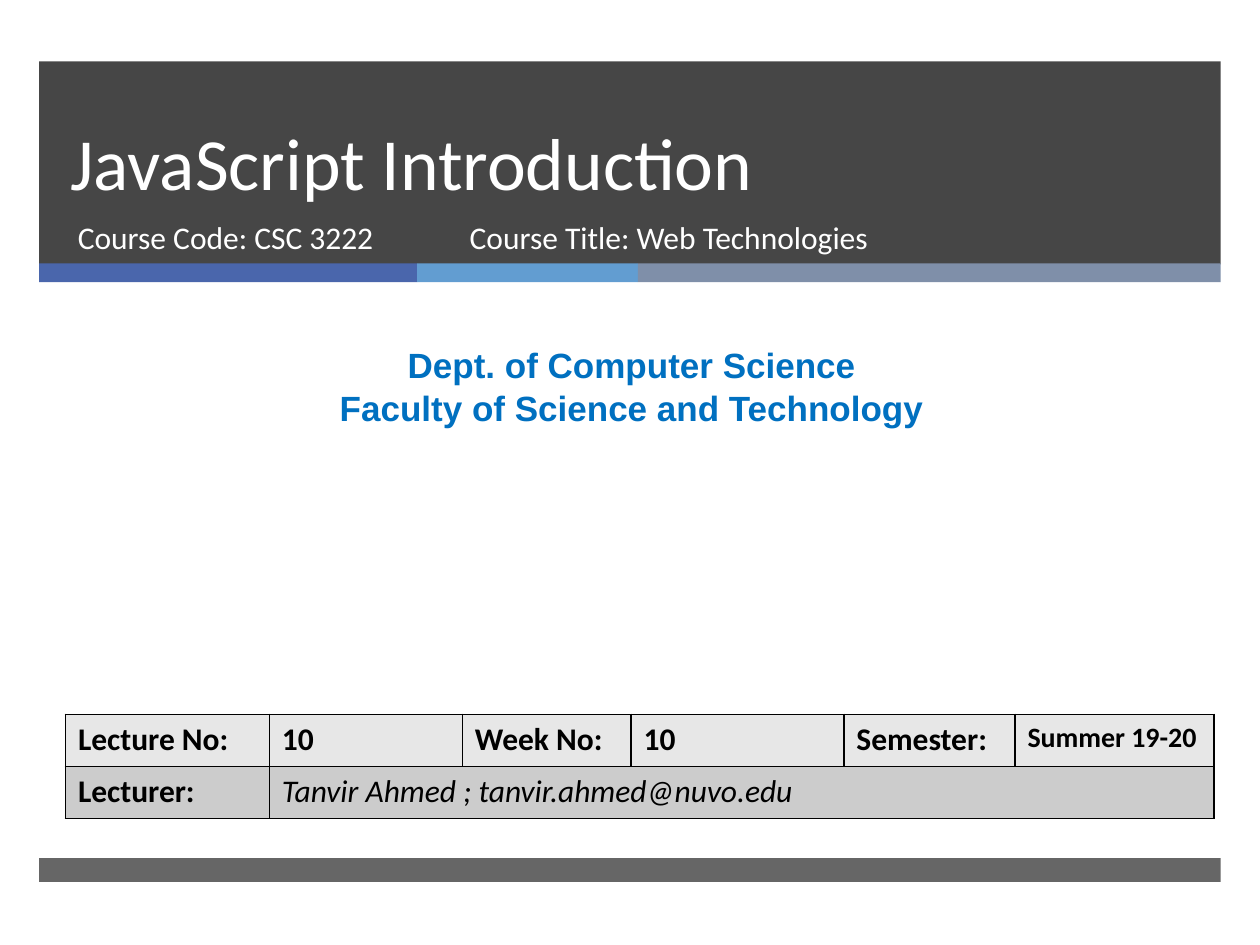
from lxml import etree
from pptx import Presentation
from pptx.dml.color import RGBColor
from pptx.enum.shapes import MSO_SHAPE
from pptx.enum.text import MSO_ANCHOR, PP_ALIGN
from pptx.oxml.ns import qn
from pptx.util import Cm, Pt

RECTANGLE = MSO_SHAPE.RECTANGLE
TOP, BOTTOM = MSO_ANCHOR.TOP, MSO_ANCHOR.BOTTOM
LEFT, CENTER = PP_ALIGN.LEFT, PP_ALIGN.CENTER

WHITE, BLACK, CHARCOAL, BLUE = "FFFFFF", "000000", "262626", "0070C0"
STRIPES = [(7.62, "4A66AC"), (4.45, "629DD1"), (11.75, "7F8FA9")]
COLUMNS = [4.11, 3.89, 3.4, 4.29, 3.45, 4.01]
ROW_HEIGHT = 1.05
LECTURE_ROW = ["Lecture No:", "10", "Week No:", "10", "Semester:", "Summer 19-20"]


def paint(target, color):
    """Give a fill or a font one solid colour."""
    if hasattr(target, "solid"):
        target.solid()
        target.fore_color.rgb = RGBColor.from_string(color)
    else:
        target.color.rgb = RGBColor.from_string(color)


def add_bar(page, box, color, opacity=100):
    bar = page.shapes.add_shape(RECTANGLE, *map(Cm, box))
    bar.shadow.inherit = False
    bar.line.fill.background()
    paint(bar.fill, color)
    if opacity < 100:
        tint = bar.fill._xPr.find(qn("a:solidFill"))[0]
        etree.SubElement(tint, qn("a:alpha"), val=str(opacity * 1000))


def add_span(para, text, size, color, font="Calibri", bold=False, italic=False):
    span = para.add_run()
    span.text = text
    span.font.name, span.font.size = font, Pt(size)
    span.font.bold, span.font.italic = bold, italic
    paint(span.font, color)


def add_text(page, box, lines, size, color, anchor=TOP, align=LEFT,
             spacing=None, **style):
    frame = page.shapes.add_textbox(*map(Cm, box)).text_frame
    frame.word_wrap = True
    frame.vertical_anchor = anchor
    for index, line in enumerate(lines):
        para = frame.add_paragraph() if index else frame.paragraphs[0]
        para.alignment = align
        if spacing:
            para.line_spacing = Pt(spacing)
        add_span(para, line, size, color, **style)


def add_header(page, box):
    left, top, width, height = box
    # Dark band with three coloured stripes below
    add_bar(page, box, CHARCOAL, 85)
    stripe_left = left
    for stripe_width, color in STRIPES:
        add_bar(page, (stripe_left, top + height - 0.02, stripe_width, 0.38), color)
        stripe_left += stripe_width
    # Title and course details
    add_text(page, (left + 0.38, top, 21.69, 3.02), ["JavaScript Introduction"],
             42, WHITE, anchor=BOTTOM, spacing=46)
    detail_top = top + 3.03
    add_text(page, (left + 0.53, detail_top, 7.75, 1.35),
             ["Course Code: CSC 3222"], 18, WHITE)
    add_text(page, (left + 8.43, detail_top, 11.56, 1.35),
             ["Course Title: Web Technologies"], 18, WHITE)


def add_department(page, box):
    add_text(page, box,
             ["Dept. of Computer Science", "Faculty of Science and Technology"],
             20, BLUE, align=CENTER, spacing=24, font="Arial", bold=True)


def set_borders(cell):
    """Draw a thin black line on all four sides, ahead of the cell's fill."""
    properties = cell._tc.get_or_add_tcPr()
    for index, side in enumerate(("lnL", "lnR", "lnT", "lnB")):
        line = etree.Element(qn(f"a:{side}"), w=str(Pt(1)))
        fill = etree.SubElement(line, qn("a:solidFill"))
        etree.SubElement(fill, qn("a:srgbClr"), val=BLACK)
        properties.insert(index, line)


def add_lecture_table(page, box):
    table = page.shapes.add_table(2, len(COLUMNS), *map(Cm, box)).table
    for column, width in zip(table.columns, COLUMNS):
        column.width = Cm(width)
    for row, color in zip(table.rows, ("E7E7E7", "CCCCCC")):
        row.height = Cm(ROW_HEIGHT)
        for cell in row.cells:
            paint(cell.fill, color)
            set_borders(cell)
    table.cell(1, 1).merge(table.cell(1, 5))
    # Lecture details, the semester in smaller type
    for index, text in enumerate(LECTURE_ROW):
        size = 16 if index == len(LECTURE_ROW) - 1 else 18
        para = table.cell(0, index).text_frame.paragraphs[0]
        add_span(para, text, size, BLACK, bold=True)
    # Lecturer
    add_span(table.cell(1, 0).text_frame.paragraphs[0], "Lecturer:", 18, BLACK,
             bold=True)
    add_span(table.cell(1, 1).text_frame.paragraphs[0],
             "Tanvir Ahmed ; tanvir.ahmed@nuvo.edu", 18, BLACK, italic=True)


def main():
    deck = Presentation()
    deck.slide_width, deck.slide_height = Cm(25.4), Cm(19.05)
    page = deck.slides.add_slide(deck.slide_layouts[6])
    paint(page.background.fill, WHITE)
    add_header(page, (0.79, 1.24, 23.82, 4.09))
    add_department(page, (0.2, 6.81, 25.07, 1.96))
    add_lecture_table(page, (1.32, 14.4, sum(COLUMNS), 2 * ROW_HEIGHT))
    # Footer bar
    add_bar(page, (0.79, 17.3, 23.82, 0.48), CHARCOAL, 70)
    deck.save("out.pptx")


if __name__ == "__main__":
    main()
